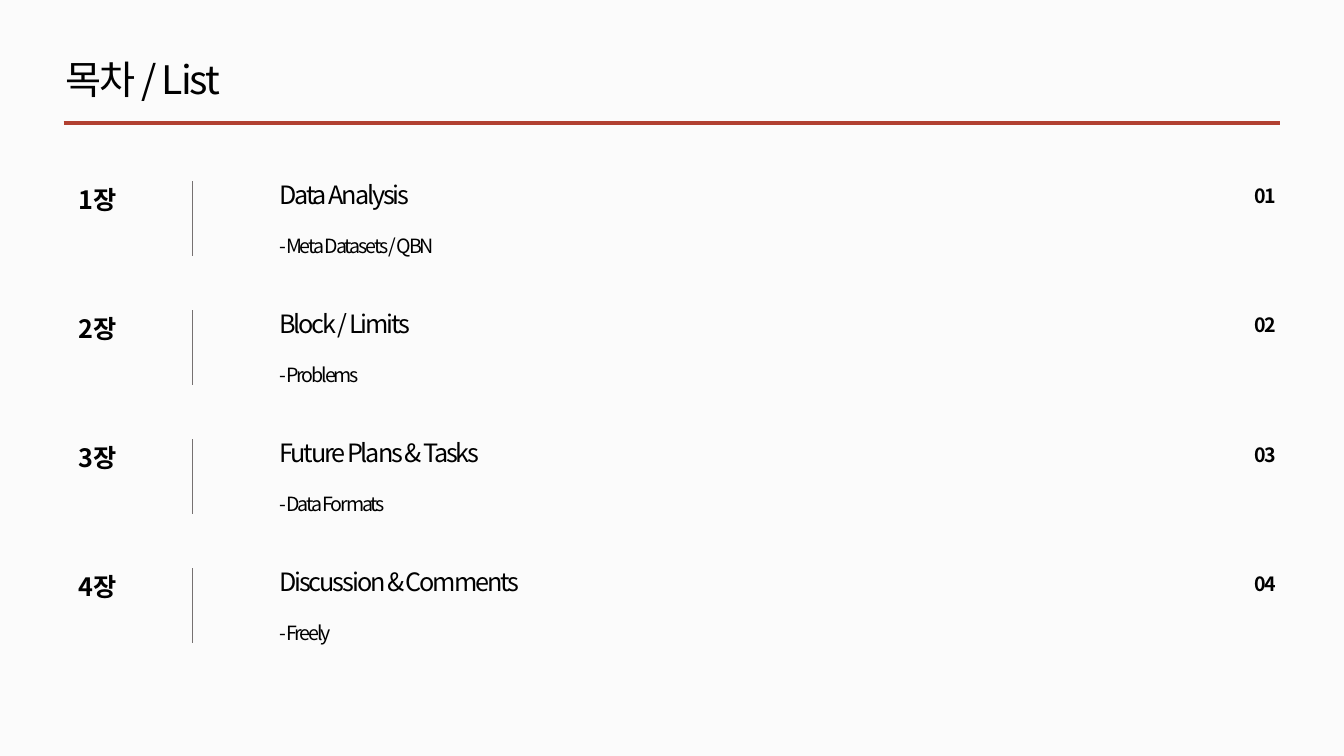
from lxml import etree
from pptx import Presentation
from pptx.dml.color import RGBColor
from pptx.enum.shapes import MSO_CONNECTOR
from pptx.enum.text import MSO_AUTO_SIZE, PP_ALIGN
from pptx.oxml.ns import qn
from pptx.util import Inches, Pt

LEFT, RIGHT = PP_ALIGN.LEFT, PP_ALIGN.RIGHT
GROW = MSO_AUTO_SIZE.SHAPE_TO_FIT_TEXT
STRAIGHT = MSO_CONNECTOR.STRAIGHT
FONT = "Noto Sans CJK KR"
color = RGBColor.from_string


def add_text(shapes, text, x, y, w, h, size=18, bold=False, align=LEFT):
    box = shapes.add_textbox(Inches(x), Inches(y), Inches(w), Inches(h))
    frame = box.text_frame
    frame.word_wrap = True
    frame.auto_size = GROW
    para = frame.paragraphs[0]
    para.alignment = align
    run = para.add_run()
    run.text = text
    font = run.font
    font.name = FONT
    font.size = Pt(size)
    font.bold = bold
    font.color.rgb = color("000000")
    props = font._element
    props.set("spc", "-150")
    latin = props.find(qn("a:latin"))
    east = etree.Element(qn("a:ea"), typeface=FONT)
    latin.addnext(east)


def add_line(shapes, x1, y1, x2, y2, tint, width):
    line = shapes.add_connector(
        STRAIGHT, Inches(x1), Inches(y1), Inches(x2), Inches(y2))
    line.line.color.rgb = color(tint)
    line.line.width = Pt(width)
    etree.SubElement(line._element.spPr, qn("a:effectLst"))


deck = Presentation()
deck.slide_width = Inches(13.33)
deck.slide_height = Inches(7.5)
slide = deck.slides.add_slide(deck.slide_layouts[6])
fill = slide.background.fill
fill.solid()
fill.fore_color.rgb = color("FBFBFB")

add_text(slide.shapes, "목차 / List", 0.55, 0.5, 9.79, 0.57, size=28)
add_line(slide.shapes, 0.63, 1.22, 12.7, 1.22, "B14031", 3)

topics = [
    ("Data Analysis", "- Meta Datasets / QBN"),
    ("Block / Limits", "- Problems"),
    ("Future Plans & Tasks", "- Data Formats"),
    ("Discussion & Comments", "- Freely"),
]
for i, (title, detail) in enumerate(topics):
    top = 1.73 + 1.28 * i
    row = slide.shapes.add_group_shape().shapes
    add_text(row, f"{i + 1}장", 0.68, top + 0.05, 3.58, 0.4, bold=True)
    add_text(row, title, 2.67, top, 3.58, 0.4)
    add_text(row, detail, 2.67, top + 0.54, 8.66, 0.34, size=14)
    add_text(row, f"{i + 1:02}", 11.2, top + 0.05, 1.55, 0.34,
             size=14, bold=True, align=RIGHT)
    add_line(row, 1.91, top + 0.07, 1.91, top + 0.81, "767171", 0.5)

deck.save("out.pptx")
